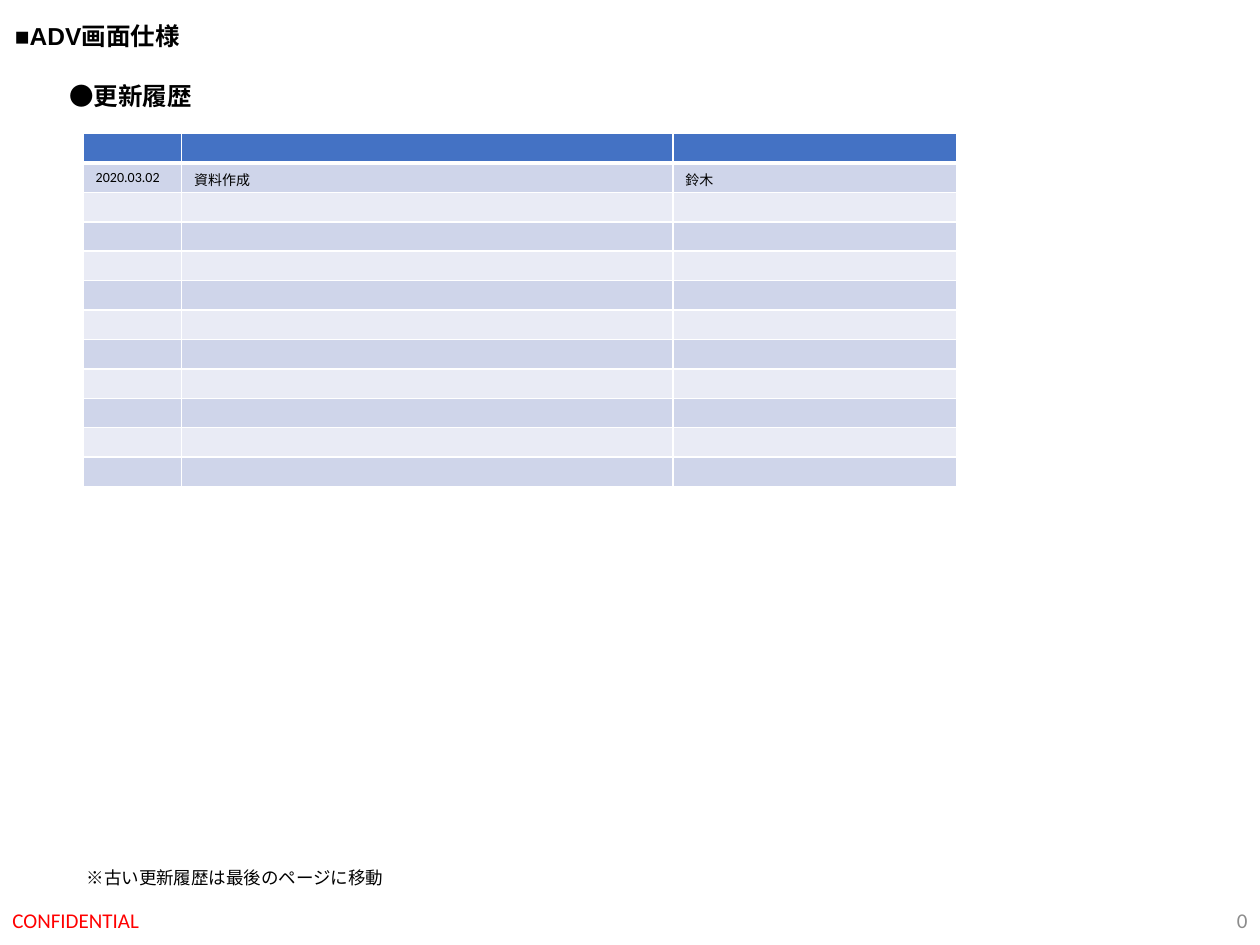
from dataclasses import dataclass

from lxml.etree import SubElement
from pptx import Presentation
from pptx.dml.color import RGBColor as RGB
from pptx.enum.text import MSO_ANCHOR as Anchor, MSO_AUTO_SIZE as Fit, PP_ALIGN as Align
from pptx.oxml.ns import qn
from pptx.util import Inches, Pt


@dataclass(frozen=True)
class Theme:
    head: str = "4472C4"
    bands: tuple = ("CFD5EA", "E9EBF5")
    rule: str = "FFFFFF"
    ink: str = "000000"
    alert: str = "FF0000"
    muted: str = "8C8C8C"
    font: str = "Calibri"
    title_font: str = "Arial"
    title: int = 14
    foot: int = 12
    note: int = 10
    cell: int = 8


class Page:
    def __init__(self, slide, theme):
        self.slide = slide
        self.theme = theme

    def run(self, para, text, size, color=None, font=None, bold=False):
        run = para.add_run()
        run.text = text
        run.font.size = Pt(size)
        run.font.name = font or self.theme.font
        run.font.bold = bold
        run.font.color.rgb = RGB.from_string(color or self.theme.ink)

    def label(self, box, text, size, **style):
        """Add a one-line text box that fits its text."""
        frame = self.slide.shapes.add_textbox(*map(Inches, box)).text_frame
        frame.word_wrap = False
        frame.auto_size = Fit.SHAPE_TO_FIT_TEXT
        self.run(frame.paragraphs[0], text, size, **style)

    def footer(self, box, text, color, align=Align.LEFT):
        frame = self.slide.shapes.add_textbox(*map(Inches, box)).text_frame
        frame.word_wrap = True
        frame.vertical_anchor = Anchor.MIDDLE
        para = frame.paragraphs[0]
        para.alignment = align
        self.run(para, text, self.theme.foot, color)

    def borders(self, cell, **widths):
        props = cell._tc.get_or_add_tcPr()
        for side in "LRTB":
            line = SubElement(props, qn(f"a:ln{side}"), w=str(Pt(widths.get(side, 1))))
            fill = SubElement(line, qn("a:solidFill"))
            SubElement(fill, qn("a:srgbClr"), val=self.theme.rule)

    def table(self, box, widths, count, rows):
        """Add a banded table; rows fill it from below the header."""
        theme = self.theme
        grid = self.slide.shapes.add_table(count, len(widths), *map(Inches, box)).table
        for col, width in zip(grid.columns, widths):
            col.width = Inches(width)
        for i, row in enumerate(grid.rows):
            row.height = Inches(box[3] / count)
            texts = rows[i - 1] if 0 < i <= len(rows) else [""] * len(widths)
            for cell, text in zip(row.cells, texts):
                if i == 0:
                    self.borders(cell, B=3)
                elif i == 1:
                    self.borders(cell, T=3)
                else:
                    self.borders(cell)
                cell.fill.solid()
                color = theme.bands[(i - 1) % 2] if i else theme.head
                cell.fill.fore_color.rgb = RGB.from_string(color)
                para = cell.text_frame.paragraphs[0]
                if text:
                    self.run(para, text, theme.cell)
                else:
                    SubElement(para._p, qn("a:endParaRPr"), sz=str(theme.cell * 100))


def main():
    deck = Presentation()
    deck.slide_width, deck.slide_height = Inches(10), Inches(7.5)
    theme = Theme()
    page = Page(deck.slides.add_slide(deck.slide_layouts[6]), theme)

    page.footer((0, 7.1, 3.38, 0.4), "CONFIDENTIAL", theme.alert)
    page.footer((7.75, 7.1, 2.25, 0.4), "0", theme.muted, Align.RIGHT)
    page.label((0.02, 0.12, 1.6, 0.34), "■ADV画面仕様", theme.title,
               font=theme.title_font, bold=True)
    page.label((0.45, 0.59, 1.18, 0.34), "●更新履歴", theme.title, bold=True)
    page.table((0.66, 1.06, 6.93, 2.8), (0.78, 3.9, 2.25), 12,
               [("2020.03.02", "資料作成", "鈴木")])
    page.label((0.59, 6.83, 2.59, 0.27), "※古い更新履歴は最後のページに移動", theme.note)

    deck.save("out.pptx")


if __name__ == "__main__":
    main()
